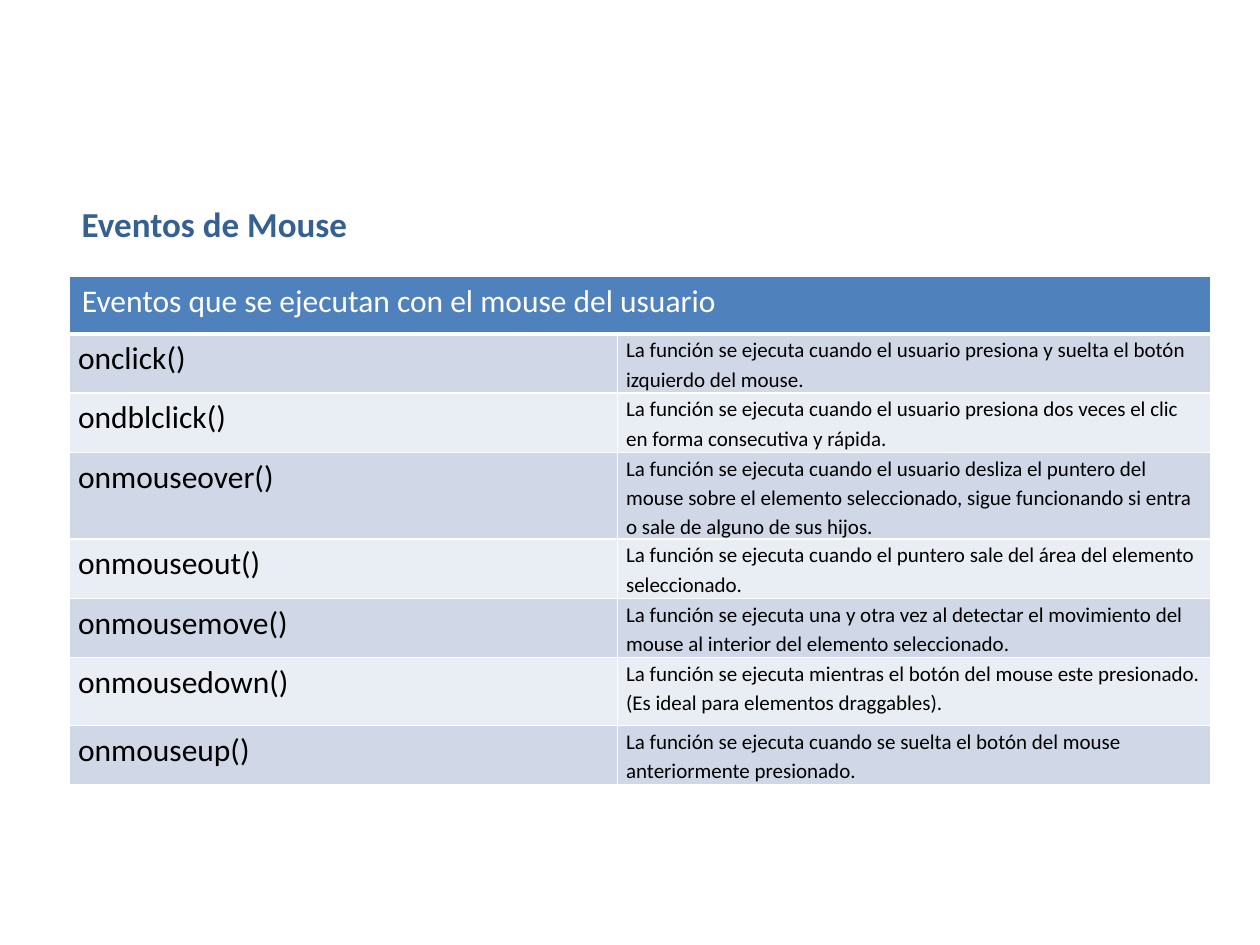
"""Build a slide with a table of JavaScript mouse events."""
from lxml import etree
from pptx import Presentation
from pptx.dml.color import RGBColor
from pptx.enum import text
from pptx.oxml.ns import qn
from pptx.util import Inches, Pt

TITLE = "Eventos de Mouse"
HEADER = "Eventos que se ejecutan con el mouse del usuario"
EVENTS = [
    ("onclick()", "La función se ejecuta cuando el usuario presiona y suelta el botón izquierdo del mouse."),
    ("ondblclick()", "La función se ejecuta cuando el usuario presiona dos veces el clic en forma consecutiva y rápida."),
    ("onmouseover()", "La función se ejecuta cuando el usuario desliza el puntero del mouse sobre el elemento "
                      "seleccionado, sigue funcionando si entra o sale de alguno de sus hijos."),
    ("onmouseout()", "La función se ejecuta cuando el puntero sale del área del elemento seleccionado."),
    ("onmousemove()", "La función se ejecuta una y otra vez al detectar el movimiento del mouse al interior "
                      "del elemento seleccionado."),
    ("onmousedown()", "La función se ejecuta mientras el botón del mouse este presionado. "
                      "(Es ideal para elementos draggables)."),
    ("onmouseup()", "La función se ejecuta cuando se suelta el botón del mouse anteriormente presionado."),
]
COLORS = {"title": "376092", "header": "4F81BD", "odd": "D0D8E8", "even": "E9EDF4",
          "white": "FFFFFF", "black": "000000"}
COLUMNS = [4.35, 4.71]
ROWS = [0.46] + [0.47] * 5 + [0.54, 0.47]
LEFT, TABLE_TOP = 0.55, 2.19
BODY = {"margin_left": Inches(0.07), "margin_right": Inches(0.07), "margin_top": 0, "margin_bottom": 0}


def rgb(name):
    return RGBColor.from_string(COLORS[name])


def write(tf, content, size, color, bold=False, spacing=None):
    p = tf.paragraphs[0]
    p.line_spacing = spacing
    r = p.add_run()
    r.text = content
    for key, value in {"name": "Calibri", "size": Pt(size), "bold": bold}.items():
        setattr(r.font, key, value)
    r.font.color.rgb = rgb(color)


def paint(cell, color, bottom=1):
    tc_pr = cell._tc.get_or_add_tcPr()
    for side, width in {"L": 1, "R": 1, "T": 1, "B": bottom}.items():
        line = etree.SubElement(tc_pr, qn(f"a:ln{side}"), w=str(Pt(width)))
        fill = etree.SubElement(line, qn("a:solidFill"))
        etree.SubElement(fill, qn("a:srgbClr"), val=COLORS["white"])
    cell.fill.solid()
    cell.fill.fore_color.rgb = rgb(color)


def main():
    prs = Presentation()
    prs.slide_width, prs.slide_height = Inches(10), Inches(7.5)
    s = prs.slides.add_slide(prs.slide_layouts[6])

    tf = s.shapes.add_textbox(Inches(LEFT), Inches(1.56), Inches(2.33), Inches(0.44)).text_frame
    tf.word_wrap = False
    tf.auto_size = text.MSO_AUTO_SIZE.SHAPE_TO_FIT_TEXT
    write(tf, TITLE, 20, "title", bold=True)

    table = s.shapes.add_table(len(ROWS), len(COLUMNS), Inches(LEFT), Inches(TABLE_TOP),
                               Inches(sum(COLUMNS)), Inches(sum(ROWS))).table
    for column, width in zip(table.columns, COLUMNS):
        column.width = Inches(width)
    for row, height in zip(table.rows, ROWS):
        row.height = Inches(height)

    header = table.cell(0, 0)
    header.merge(table.cell(0, 1))
    for column in range(len(COLUMNS)):
        paint(table.cell(0, column), "header", bottom=3)
    write(header.text_frame, HEADER, 18, "white")

    for row, event in enumerate(EVENTS, 1):
        for column, (content, size) in enumerate(zip(event, (18, 12))):
            cell = table.cell(row, column)
            for key, value in BODY.items():
                setattr(cell, key, value)
            paint(cell, "odd" if row % 2 else "even")
            write(cell.text_frame, content, size, "black", spacing=1.15)

    prs.save("out.pptx")


if __name__ == "__main__":
    main()
